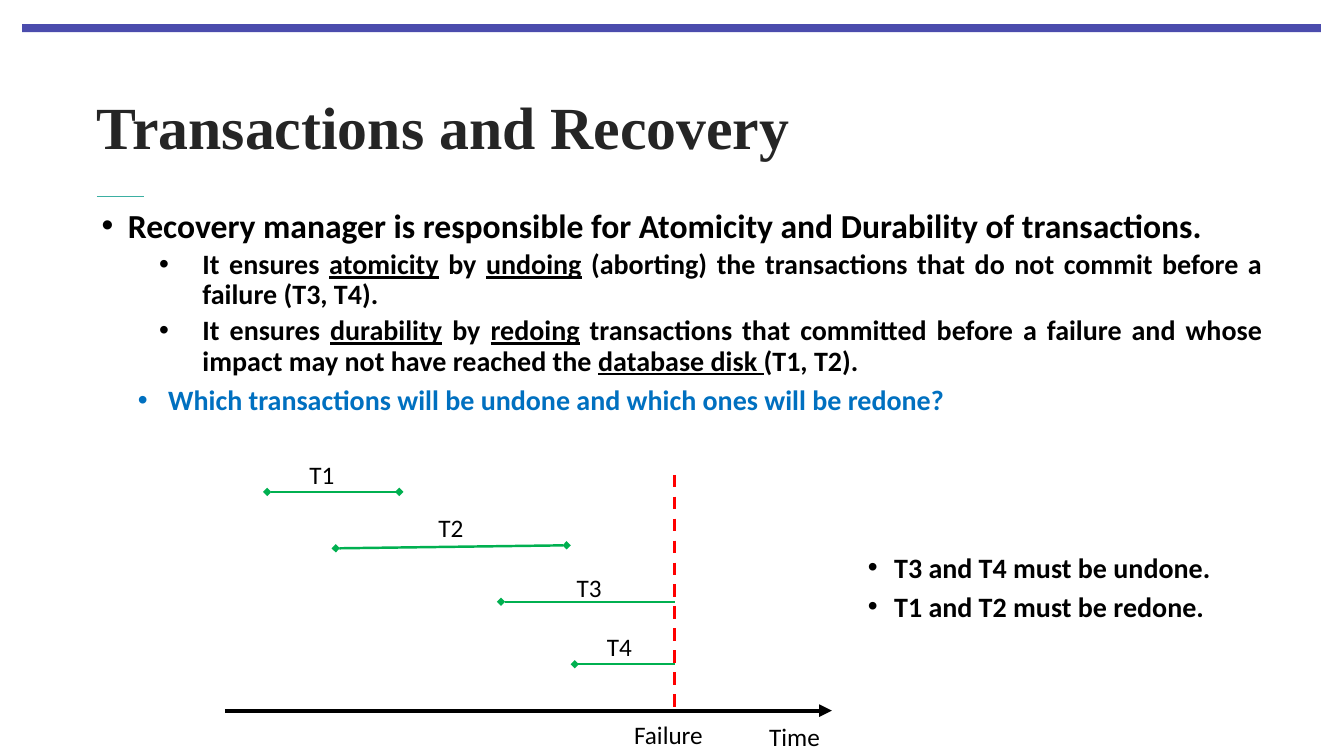
from dataclasses import dataclass

from lxml import etree
from pptx import Presentation
from pptx import util as u
from pptx.dml.color import RGBColor
from pptx.enum import dml, shapes, text
from pptx.oxml.ns import qn


@dataclass(frozen=True)
class Theme:
    bar: str = "4B4CAD"
    rule: str = "3BAFA2"
    heading: str = "252525"
    ink: str = "000000"
    question: str = "0070C0"
    failure: str = "FF0000"
    span: str = "00B050"
    heading_font: str = "Times New Roman"
    body_font: str = "Calibri"
    heading_size: float = 42.7
    lead_size: float = 24
    point_size: float = 20
    label_size: float = 18


THEME = Theme()


@dataclass(frozen=True)
class Bullet:
    words: str  # underscores enclose underlined words
    margin: float = 0.26
    hanging: float = 0.26
    size: float = THEME.point_size
    color: str = THEME.ink
    level: int = 0
    justified: bool = False
    spacing: float | None = None


@dataclass(frozen=True)
class Line:
    start: tuple[float, float]
    end: tuple[float, float]
    color: str
    width: float
    head: str = ""
    tail: str = ""
    dashed: bool = False


@dataclass(frozen=True)
class Label:
    words: str
    left: float
    top: float
    width: float = 0.71


FAILURE_X, AXIS_Y = 6.69, 7.05


def transaction(start: tuple[float, float], end: tuple[float, float]) -> Line:
    """A transaction has a closing diamond only if it commits before the failure."""
    tail = "diamond" if end[0] < FAILURE_X else ""
    return Line(start, end, THEME.span, 1.75, head="diamond", tail=tail)


POINTS = [
    Bullet("Recovery manager is responsible for Atomicity and Durability of transactions. ",
           size=THEME.lead_size, justified=True),
    Bullet("It ensures _atomicity_ by _undoing_ (aborting) the transactions that do not "
           "commit before a failure (T3, T4).",
           1, 0.43, level=1, justified=True, spacing=0.9),
    Bullet("It ensures _durability_ by _redoing_ transactions that committed before a failure "
           "and whose impact may not have reached the _database disk _(T1, T2).",
           1, 0.43, level=1, justified=True, spacing=0.9),
    Bullet("Which transactions will be undone and which ones will be redone?",
           0.66, 0.3, color=THEME.question, level=1),
]
ANSWERS = [Bullet("T3 and T4 must be undone."), Bullet("T1 and T2 must be redone.")]
LINES = [
    Line((0.96, 1.95), (1.43, 1.95), THEME.rule, 0.5),
    Line((2.23, AXIS_Y), (8.25, AXIS_Y), THEME.ink, 3, tail="triangle"),
    Line((FAILURE_X, 4.71), (FAILURE_X, AXIS_Y), THEME.failure, 2.25, dashed=True),
    transaction((2.65, 4.88), (3.96, 4.88)),
    transaction((3.33, 5.44), (5.62, 5.41)),
    transaction((4.97, 5.97), (FAILURE_X, 5.97)),
    transaction((5.7, 6.59), (FAILURE_X, 6.59)),
]
LABELS = [
    Label("T1", 2.97, 4.51),
    Label("T2", 4.25, 5.03),
    Label("T3", 5.62, 5.63),
    Label("T4", 5.92, 6.21),
    Label("Failure", 6.19, 7.09, 0.95),
    Label("Time", 7.53, 7.11),
]


def write(p, words: str, *, size: float, color: str = THEME.ink,
          font: str = THEME.body_font, bold: bool = False) -> None:
    for i, part in enumerate(words.split("_")):
        r = p.add_run()
        r.text = part
        r.font.name, r.font.size, r.font.bold = font, u.Pt(size), bold
        r.font.underline = i % 2 == 1
        r.font.color.rgb = RGBColor.from_string(color)


def add_box(slide, left: float, top: float, width: float, height: float):
    sp = slide.shapes.add_textbox(*map(u.Inches, (left, top, width, height)))
    sp.text_frame.word_wrap = True
    return sp.text_frame


def add_bullets(tf, bullets: list[Bullet]) -> None:
    tf.margin_top = tf.margin_bottom = 0
    for i, b in enumerate(bullets):
        p = tf.add_paragraph() if i else tf.paragraphs[0]
        pPr = p._p.get_or_add_pPr()
        pPr.set("marL", str(u.Inches(b.margin)))
        pPr.set("indent", str(-u.Inches(b.hanging)))
        etree.SubElement(pPr, qn("a:buFont"), typeface="Arial")
        etree.SubElement(pPr, qn("a:buChar"), char="•")
        p.level = b.level
        p.alignment = text.PP_ALIGN.JUSTIFY if b.justified else text.PP_ALIGN.LEFT
        if b.spacing:
            p.line_spacing = b.spacing
        p.space_before = u.Pt(0.2 * b.size if i else 0)
        write(p, b.words, size=b.size, color=b.color, bold=True)


def add_line(slide, line: Line) -> None:
    ends = map(u.Inches, (*line.start, *line.end))
    sp = slide.shapes.add_connector(shapes.MSO_CONNECTOR.STRAIGHT, *ends)
    sp.line.color.rgb = RGBColor.from_string(line.color)
    sp.line.width = u.Pt(line.width)
    if line.dashed:
        sp.line.dash_style = dml.MSO_LINE.DASH
    ln = sp.line._get_or_add_ln()
    for tag, kind in (("a:headEnd", line.head), ("a:tailEnd", line.tail)):
        if kind:
            etree.SubElement(ln, qn(tag), type=kind)
    etree.SubElement(sp._element.spPr, qn("a:effectLst"))


def main() -> None:
    prs = Presentation()
    prs.slide_width, prs.slide_height = u.Inches(13.33), u.Inches(7.5)
    slide = prs.slides.add_slide(prs.slide_layouts[5])

    # Top bar
    sp = slide.shapes.add_shape(shapes.MSO_SHAPE.RECTANGLE,
                                *map(u.Inches, (0.22, 0.24, 12.88, 0.08)))
    sp.shadow.inherit = False
    sp.fill.solid()
    sp.fill.fore_color.rgb = RGBColor.from_string(THEME.bar)
    sp.line.fill.background()

    # Title
    title = slide.shapes.title
    title.left, title.top, title.width, title.height = map(
        u.Inches, (0.96, 0.62, 11.61, 1.25))
    tf = title.text_frame
    tf.margin_left = tf.margin_right = tf.margin_top = tf.margin_bottom = 0
    tf.vertical_anchor = text.MSO_ANCHOR.MIDDLE
    tf.paragraphs[0].alignment = text.PP_ALIGN.LEFT
    write(tf.paragraphs[0], "Transactions and Recovery", size=THEME.heading_size,
          color=THEME.heading, font=THEME.heading_font, bold=True)

    # Explanation and answers
    add_bullets(add_box(slide, 0.91, 2.03, 11.71, 4.43), POINTS)
    tf = add_box(slide, 8.51, 5.27, 4.19, 1.1)
    tf.vertical_anchor = text.MSO_ANCHOR.MIDDLE
    add_bullets(tf, ANSWERS)

    # Timeline
    for line in LINES:
        add_line(slide, line)
    for label in LABELS:
        tf = add_box(slide, label.left, label.top, label.width, 0.4)
        tf.auto_size = text.MSO_AUTO_SIZE.SHAPE_TO_FIT_TEXT
        write(tf.paragraphs[0], label.words, size=THEME.label_size)

    prs.save("out.pptx")


if __name__ == "__main__":
    main()
